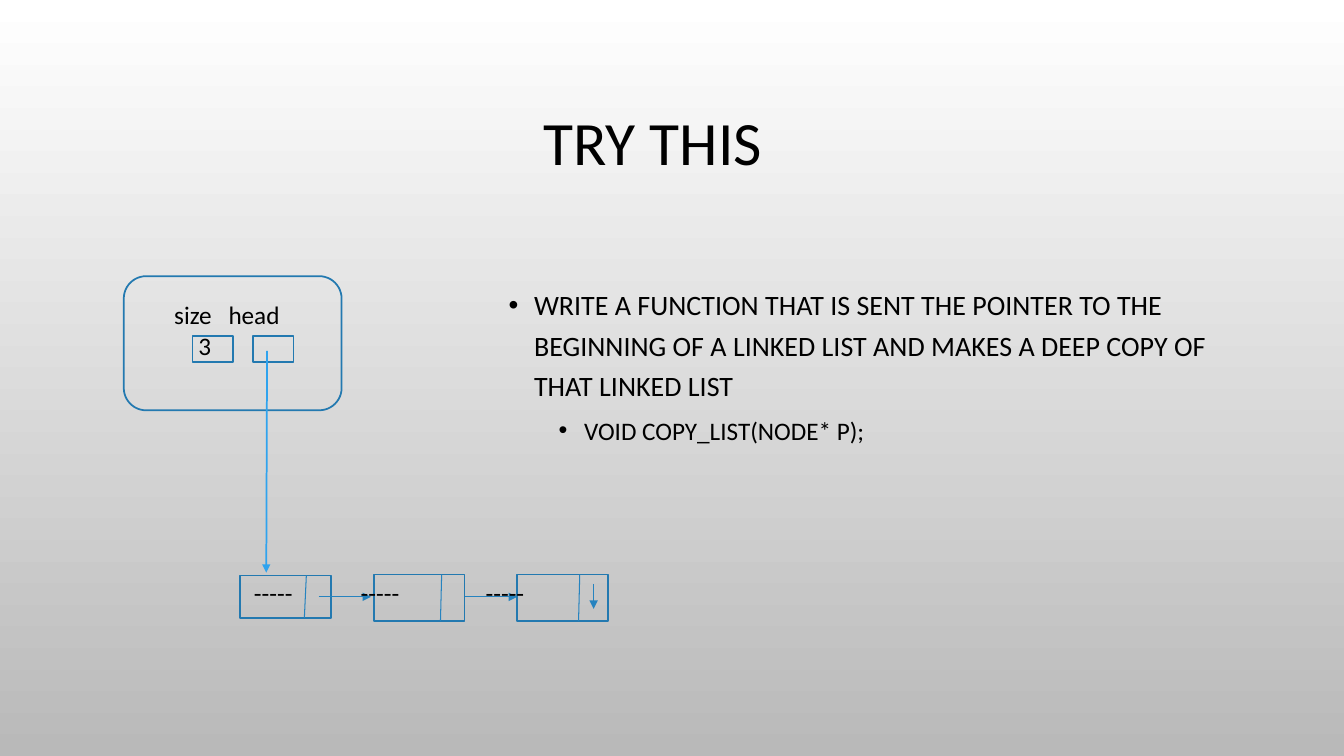
import pptx
import pptx.dml.color
import pptx.enum.shapes
import pptx.enum.text
import pptx.oxml.ns
import pptx.util
from lxml import etree

Cm, Pt = pptx.util.Cm, pptx.util.Pt
RGBColor = pptx.dml.color.RGBColor
Shape = pptx.enum.shapes.MSO_SHAPE
Align = pptx.enum.text.PP_ALIGN
Anchor = pptx.enum.text.MSO_ANCHOR
qn = pptx.oxml.ns.qn

BLACK = RGBColor(0x00, 0x00, 0x00)
WHITE = RGBColor(0xFF, 0xFF, 0xFF)
GREY = RGBColor(0xB9, 0xB9, 0xB9)
BOX_BLUE = RGBColor(0x23, 0x79, 0xB0)
HEAD_BLUE = RGBColor(0x2F, 0xA3, 0xEE)
LINK_BLUE = RGBColor(0x26, 0x83, 0xBF)
FONT = "Calibri"

# All positions and lengths are in centimetres.
TITLE = ("TRY THIS", (2.06, 1.45, 28.78, 4.45))
TASK_BOX = (12.57, 6.96, 18.62, 6.58)
TASK = [
    ("WRITE A FUNCTION THAT IS SENT THE POINTER TO THE BEGINNING OF A LINKED LIST "
     "AND MAKES A DEEP COPY OF THAT LINKED LIST",
     dict(size=20, before=10, indent=0.64)),
    ("VOID COPY_LIST(NODE* P);", dict(size=18, before=5, indent=1.9, level=1)),
]
LIST_OBJECT = (3.12, 6.96, 5.49, 3.38)
FIELD_LEFTS, FIELD_TOP, FIELD_SIZE = (4.85, 6.38), 8.46, (1.02, 0.66)
NODE_WIDTH = 2.29
NODES = [  # left, top, height, divider top x, divider bottom x
    (6.05, 14.5, 1.07, 7.72, 7.67),
    (9.42, 14.48, 1.17, 11.13, 11.1),
    (13.03, 14.48, 1.17, 14.61, 14.58),
]
HEAD_POINTER = (6.73, 8.84, 6.71, 14.43)
LINKS = [
    (8.03, 15.04, 9.35, 15.04),
    (11.71, 15.04, 13.03, 15.04),
    (14.96, 14.71, 14.96, 15.34),
]
LABELS = [  # text, box, tab stops
    ("size\thead", (4.14, 7.42, 3.8, 1.02), (1.37,)),
    ("3", (4.75, 8.2, 1.2, 1.02), ()),
    ("-----\t-----\t-----", (6.15, 14.43, 9.37, 1.02), (2.69, 5.84)),
]


def write(paragraph, text, size=18, align=None, spacing=None, before=None,
          indent=None, level=0, tabs=()):
    """Fill a paragraph; an indent also gives it a bullet."""
    run = paragraph.add_run()
    run.text = text
    run.font.name, run.font.size = FONT, Pt(size)
    run.font.color.rgb = BLACK
    paragraph.level = level
    if align is not None:
        paragraph.alignment = align
    if spacing is not None:
        paragraph.line_spacing = spacing
    if before is not None:
        paragraph.space_before = Pt(before)
    properties = paragraph._p.get_or_add_pPr()
    if indent is not None:
        properties.set("marL", str(Cm(indent)))
        properties.set("indent", str(-Cm(0.64)))
        color = etree.SubElement(properties, qn("a:buClr"))
        etree.SubElement(color, qn("a:srgbClr"), val=str(BLACK))
        etree.SubElement(properties, qn("a:buFont"), typeface="Arial")
        etree.SubElement(properties, qn("a:buChar"), char="•")
    if tabs:
        stops = etree.SubElement(properties, qn("a:tabLst"))
        for stop in tabs:
            etree.SubElement(stops, qn("a:tab"), pos=str(Cm(stop)), algn="l")


def add_text_frame(slide, box):
    frame = slide.shapes.add_textbox(*map(Cm, box)).text_frame
    frame.word_wrap = True
    return frame


def add_outline(slide, kind, box):
    shape = slide.shapes.add_shape(kind, *map(Cm, box))
    shape.shadow.inherit = False
    shape.fill.background()
    shape.line.color.rgb = BOX_BLUE
    shape.line.width = Pt(1.25)


def add_line(slide, ends, color=LINK_BLUE, width=0.75, arrow=True):
    line = slide.shapes.add_connector(
        pptx.enum.shapes.MSO_CONNECTOR.STRAIGHT, *map(Cm, ends))
    line.line.color.rgb = color
    line.line.width = Pt(width)
    if arrow:
        etree.SubElement(line.line._get_or_add_ln(), qn("a:tailEnd"), type="triangle")
    etree.SubElement(line._element.spPr, qn("a:effectLst"))


def add_background(slide):
    fill = slide.background.fill
    fill.gradient()
    fill.gradient_angle = 270
    for stop, color in zip(fill.gradient_stops, (WHITE, GREY)):
        stop.color.rgb = color


def add_title(slide):
    text, box = TITLE
    title = slide.shapes.title
    title.left, title.top, title.width, title.height = map(Cm, box)
    title.text_frame.vertical_anchor = Anchor.MIDDLE
    write(title.text_frame.paragraphs[0], text, size=44, align=Align.CENTER, spacing=0.9)


def add_task(slide):
    frame = add_text_frame(slide, TASK_BOX)
    for number, (text, style) in enumerate(TASK):
        paragraph = frame.add_paragraph() if number else frame.paragraphs[0]
        write(paragraph, text, spacing=1.2, **style)


def add_linked_list(slide):
    add_outline(slide, Shape.ROUNDED_RECTANGLE, LIST_OBJECT)
    for left in FIELD_LEFTS:
        add_outline(slide, Shape.RECTANGLE, (left, FIELD_TOP, *FIELD_SIZE))
    add_line(slide, HEAD_POINTER, color=HEAD_BLUE, width=1.25)
    for left, top, height, divider_top, divider_bottom in NODES:
        add_outline(slide, Shape.RECTANGLE, (left, top, NODE_WIDTH, height))
        add_line(slide, (divider_top, top, divider_bottom, top + height), arrow=False)
    for ends in LINKS:
        add_line(slide, ends)
    for text, box, tabs in LABELS:
        write(add_text_frame(slide, box).paragraphs[0], text, tabs=tabs)


def main():
    presentation = pptx.Presentation()
    presentation.slide_width, presentation.slide_height = Cm(33.87), Cm(19.05)
    slide = presentation.slides.add_slide(presentation.slide_layouts[5])
    add_background(slide)
    add_title(slide)
    add_task(slide)
    add_linked_list(slide)
    presentation.save("out.pptx")


if __name__ == "__main__":
    main()
